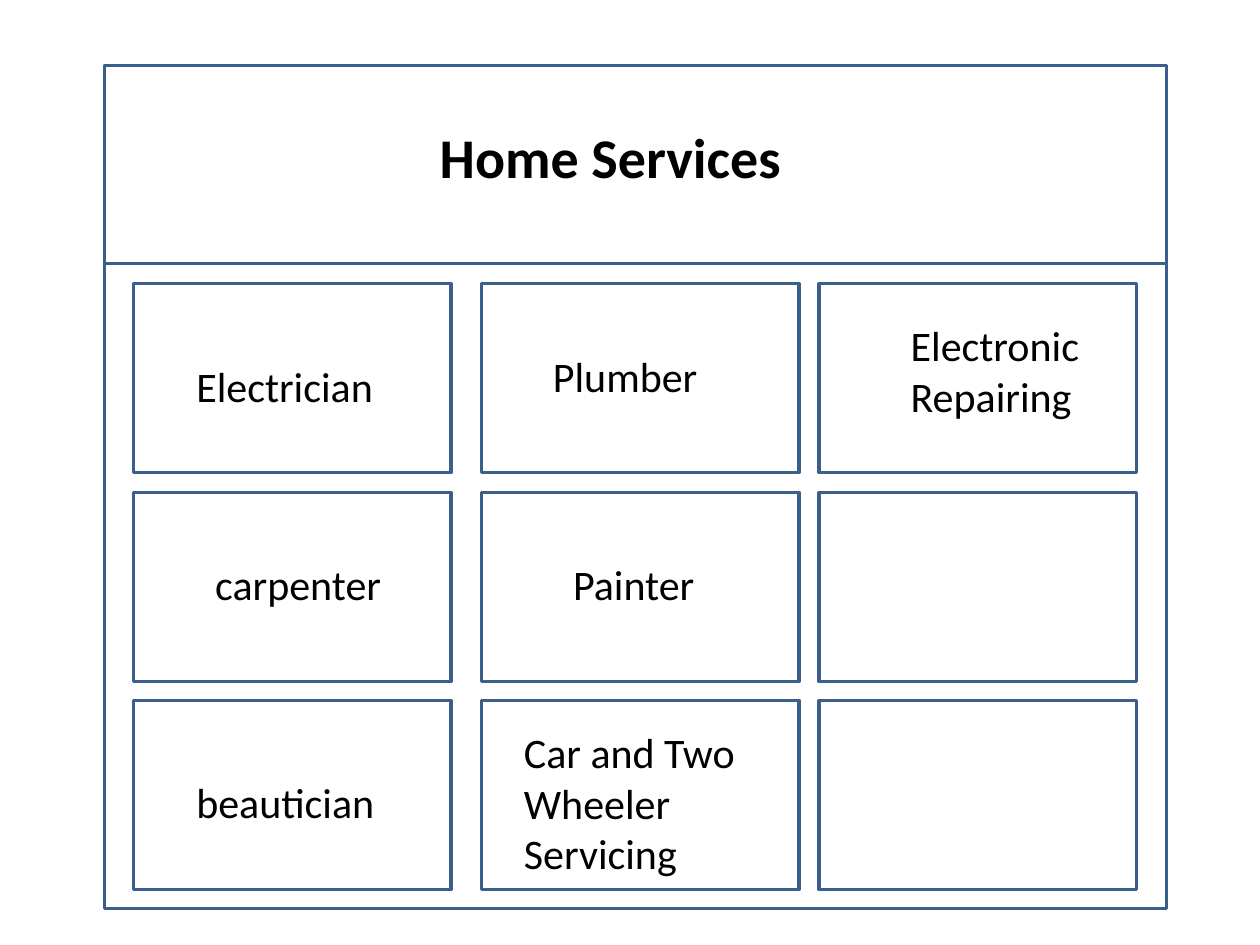
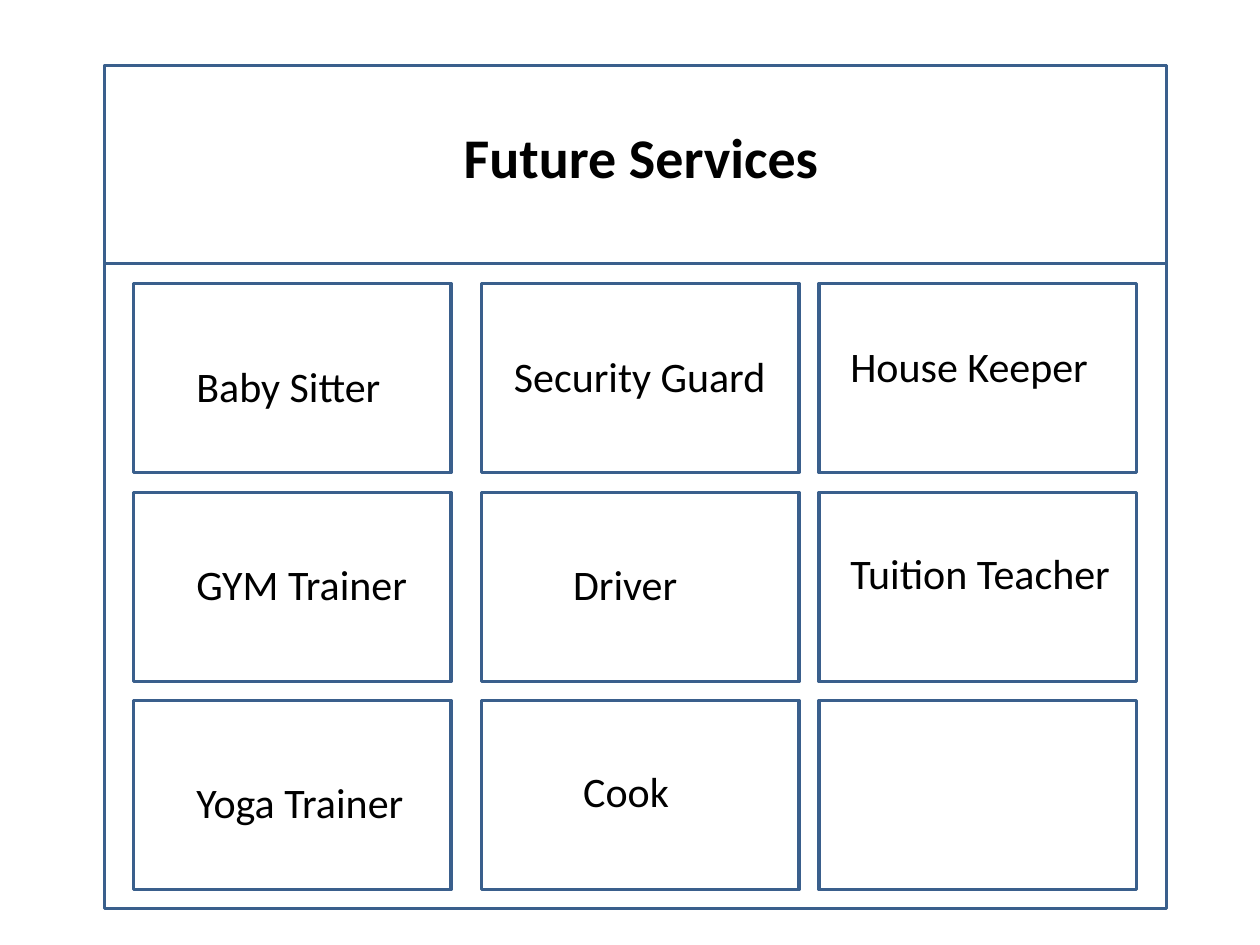
from dataclasses import dataclass

from pptx import Presentation
from pptx.dml.color import RGBColor
from pptx.enum.shapes import MSO_SHAPE
from pptx.enum.text import MSO_ANCHOR, MSO_AUTO_SIZE, PP_ALIGN
from pptx.slide import Slide
from pptx.text.text import TextFrame
from pptx.util import Emu, Pt

RECTANGLE = MSO_SHAPE.RECTANGLE
TOP = MSO_ANCHOR.TOP
GROW = MSO_AUTO_SIZE.SHAPE_TO_FIT_TEXT
LEFT = PP_ALIGN.LEFT
CENTER = PP_ALIGN.CENTER

EMU_PER_PX = 9144
TITLE_ONLY = 5
FONT = "Calibri"
COLORS = {"outline": "3A5F8C", "text": "000000"}

FRAME_LEFT, FRAME_TOP, FRAME_WIDTH, FRAME_HEIGHT = 83, 52, 843, 669
HEADER_HEIGHT = 157
TITLE_TOP, TITLE_HEIGHT = 92, 64
CARD_WIDTH, CARD_HEIGHT = 252, 150
COLUMN_LEFTS = (106, 382, 650)
ROW_TOPS = [225 + round(165.5 * row) for row in range(3)]


@dataclass(frozen=True)
class Service:
    column: int
    row: int
    text: str
    inset_x: int
    inset_y: int
    width: int
    height: int = 50
    wrap: bool = False


@dataclass(frozen=True)
class ServicePage:
    title: str
    title_left: int
    title_width: int
    title_align: PP_ALIGN
    services: tuple[Service, ...]


PAGES = (
    ServicePage("Home Services", 193, 583, CENTER, (
        Service(0, 0, "Electrician", 40, 56, 162),
        Service(0, 1, "carpenter", 55, 47, 153),
        Service(0, 2, "beautician", 40, 55, 163),
        Service(1, 0, "Plumber", 47, 48, 136),
        Service(1, 1, "Painter", 63, 47, 117),
        Service(1, 2, "Car and Two\nWheeler Servicing", 24, 16, 206, 131, True),
        Service(2, 0, "Electronic\nRepairing", 63, 24, 163, 91),
    )),
    ServicePage("Future Services", 358, 362, LEFT, (
        Service(0, 0, "Baby Sitter", 40, 56, 168),
        Service(0, 1, "GYM Trainer", 40, 47, 189),
        Service(0, 2, "Yoga Trainer", 40, 55, 186),
        Service(1, 0, "Security Guard", 16, 48, 222),
        Service(1, 1, "Driver", 63, 47, 104),
        Service(1, 2, "Cook", 71, 47, 102, wrap=True),
        Service(2, 0, "House Keeper", 15, 40, 211),
        Service(2, 1, "Tuition Teacher", 15, 39, 229),
    )),
)


def px(length: int) -> Emu:
    return Emu(length * EMU_PER_PX)


def write_text(frame: TextFrame, text: str, *, size: int, bold: bool = False,
               align: PP_ALIGN = LEFT, wrap: bool = True) -> None:
    frame.text = text
    frame.word_wrap = wrap
    frame.auto_size = GROW
    frame.vertical_anchor = TOP
    for para in frame.paragraphs:
        para.alignment = align
        for span in para.runs:
            span.font.name = FONT
            span.font.size = Pt(size)
            span.font.bold = bold
            span.font.color.rgb = RGBColor.from_string(COLORS["text"])


def add_outline(page: Slide, left: int, top: int, width: int, height: int) -> None:
    box = page.shapes.add_shape(RECTANGLE, px(left), px(top), px(width), px(height))
    box.shadow.inherit = False
    box.fill.background()
    box.line.color.rgb = RGBColor.from_string(COLORS["outline"])
    box.line.width = Pt(2)


def add_title(page: Slide, content: ServicePage) -> None:
    title = page.shapes.title
    title.left, title.top = px(content.title_left), px(TITLE_TOP)
    title.width, title.height = px(content.title_width), px(TITLE_HEIGHT)
    write_text(title.text_frame, content.title, size=32, bold=True,
               align=content.title_align)


def add_service(page: Slide, service: Service) -> None:
    box = page.shapes.add_textbox(
        px(COLUMN_LEFTS[service.column] + service.inset_x),
        px(ROW_TOPS[service.row] + service.inset_y),
        px(service.width), px(service.height))
    write_text(box.text_frame, service.text, size=24, wrap=service.wrap)


def add_page(deck: Presentation, content: ServicePage) -> None:
    page = deck.slides.add_slide(deck.slide_layouts[TITLE_ONLY])
    add_title(page, content)
    for height in (FRAME_HEIGHT, HEADER_HEIGHT):
        add_outline(page, FRAME_LEFT, FRAME_TOP, FRAME_WIDTH, height)
    for left in COLUMN_LEFTS:
        for top in ROW_TOPS:
            add_outline(page, left, top, CARD_WIDTH, CARD_HEIGHT)
    for service in content.services:
        add_service(page, service)


def main() -> None:
    deck = Presentation()
    deck.slide_width, deck.slide_height = px(1000), px(750)
    for content in PAGES:
        add_page(deck, content)
    deck.save("out.pptx")


if __name__ == "__main__":
    main()
